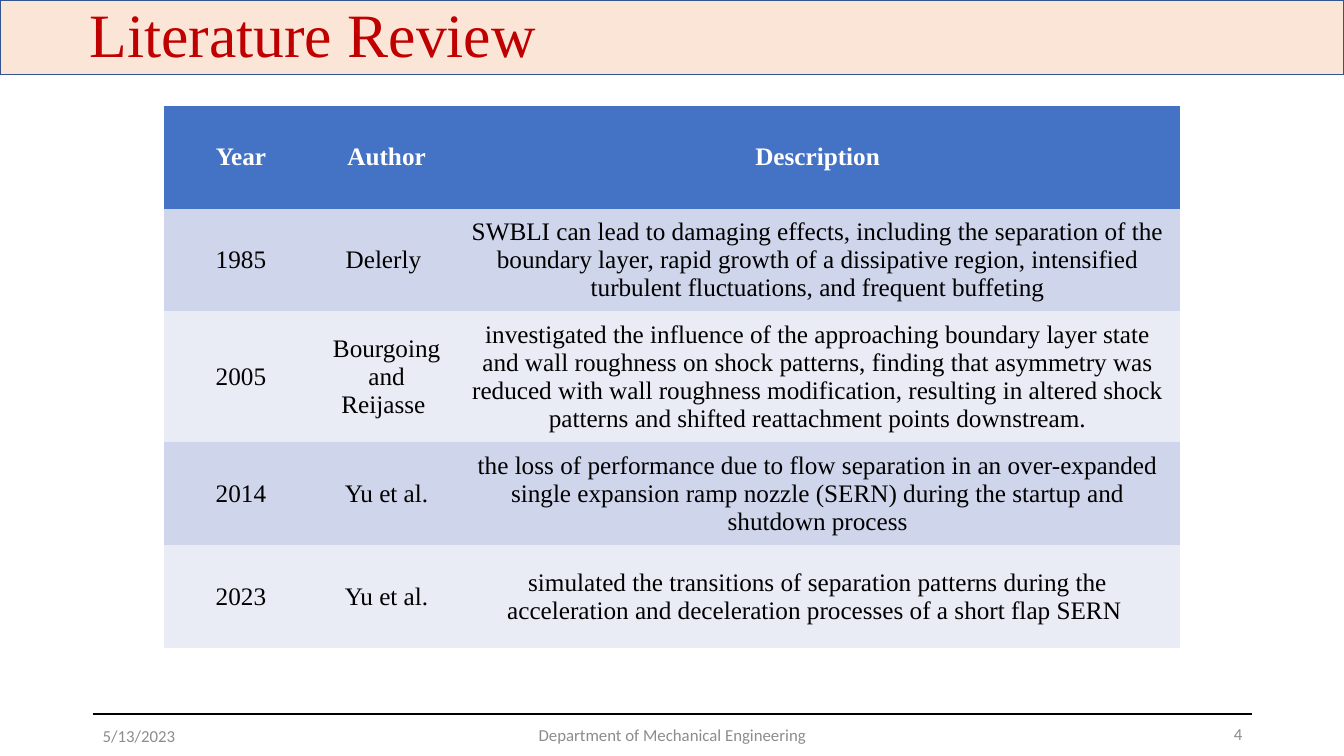
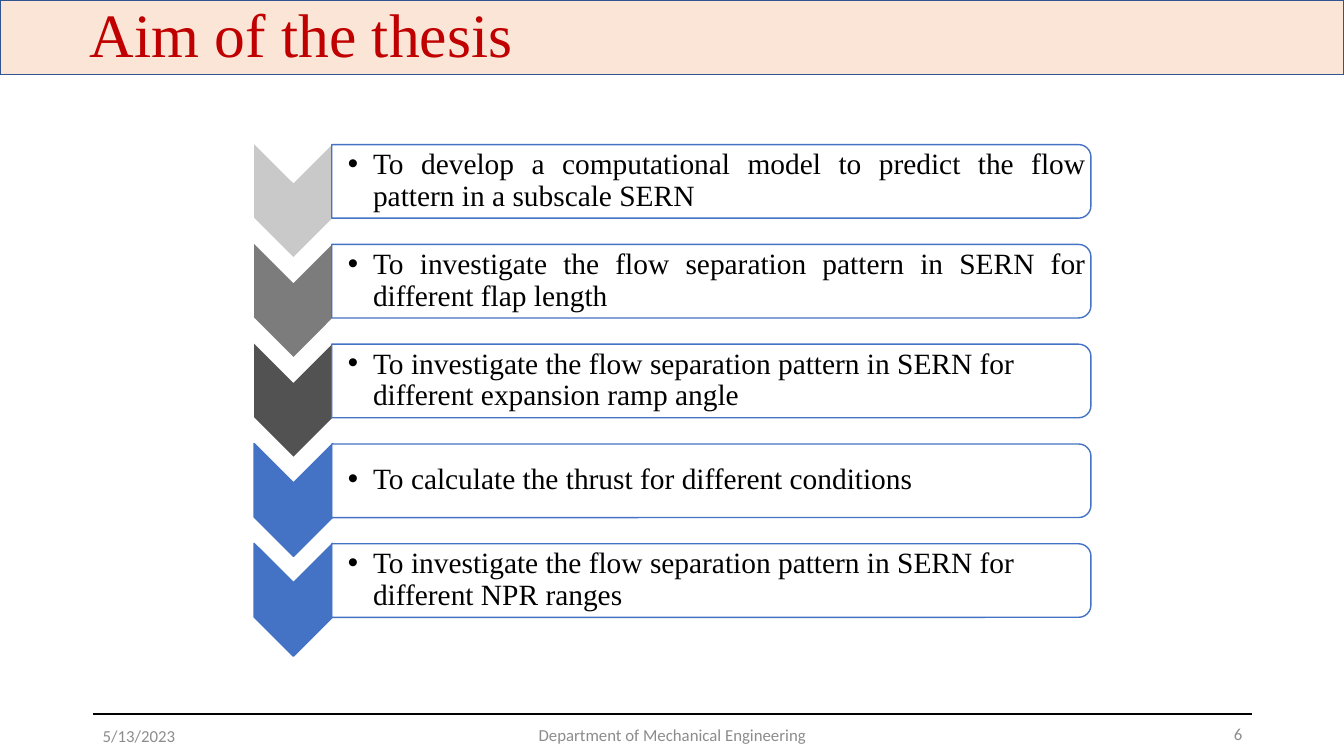
from lxml.etree import SubElement
from pptx import Presentation
from pptx.dml.color import RGBColor
from pptx.enum.shapes import MSO_CONNECTOR, MSO_SHAPE
from pptx.enum.text import MSO_ANCHOR, MSO_AUTO_SIZE, PP_ALIGN
from pptx.oxml.ns import qn
from pptx.util import Inches, Pt

BLACK = RGBColor(0x00, 0x00, 0x00)
WHITE = RGBColor(0xFF, 0xFF, 0xFF)
RED = RGBColor(0xC0, 0x00, 0x00)
BLUE = RGBColor(0x44, 0x72, 0xC4)
NAVY = RGBColor(0x32, 0x54, 0x91)
PEACH = RGBColor(0xFB, 0xE5, 0xD6)
FOOTER_GRAY = RGBColor(0x8C, 0x8C, 0x8C)
ROW_FILLS = [RGBColor(0xCF, 0xD5, 0xEA), RGBColor(0xE9, 0xEB, 0xF5)]
LIGHT_GRAY = RGBColor(0xC9, 0xC9, 0xC9)
MID_GRAY = RGBColor(0x7C, 0x7C, 0x7C)
DARK_GRAY = RGBColor(0x52, 0x52, 0x52)

SERIF = "Times New Roman"
SANS = "Calibri"
NO_TABLE_STYLE = "{2D5ABB26-0587-4C30-8999-92F81FD0307C}"

DATE = "5/13/2023"
DEPARTMENT = "Department of Mechanical Engineering"

STUDIES = [
    ("Year", "Author", "Description"),
    ("1985", "Delerly ",
     "SWBLI can lead to damaging effects, including the separation of the "
     "boundary layer, rapid growth of a dissipative region, intensified "
     "turbulent fluctuations, and frequent buffeting"),
    ("2005", "Bourgoing and Reijasse ",
     "investigated the influence of the approaching boundary layer state and "
     "wall roughness on shock patterns, finding that asymmetry was reduced "
     "with wall roughness modification, resulting in altered shock patterns "
     "and shifted reattachment points downstream."),
    ("2014", "Yu et al.",
     "the loss of performance due to flow separation in an over-expanded "
     "single expansion ramp nozzle (SERN) during the startup and shutdown "
     "process"),
    ("2023", "Yu et al.",
     "simulated the transitions of separation patterns during the "
     "acceleration and deceleration processes of a short flap SERN "),
]
COL_WIDTHS = [1.52, 1.37, 7.18]
ROW_HEIGHTS = [1.02, 1.02, 1.17, 1.02, 1.02]

AIMS = [
    ("To develop a computational model to predict the flow pattern in a "
     "subscale SERN", LIGHT_GRAY, PP_ALIGN.JUSTIFY),
    ("To investigate the flow separation pattern in SERN for different flap "
     "length", MID_GRAY, PP_ALIGN.JUSTIFY),
    ("To investigate the flow separation pattern in SERN for different "
     "expansion ramp angle", DARK_GRAY, PP_ALIGN.LEFT),
    ("To calculate the thrust for different conditions", BLUE, PP_ALIGN.LEFT),
    ("To investigate the flow separation pattern in SERN for different NPR "
     "ranges", BLUE, PP_ALIGN.LEFT),
]


def write(tf, text, size=18, font=SERIF, color=BLACK, bold=False,
          align=PP_ALIGN.LEFT, bullet=False):
    p = tf.paragraphs[0]
    p.alignment = align
    if bullet:
        p.line_spacing = 0.9
        pPr = p._p.get_or_add_pPr()
        pPr.set("marL", str(Inches(0.25)))
        pPr.set("indent", str(-Inches(0.25)))
        SubElement(pPr, qn("a:buFont")).set("typeface", "Arial")
        SubElement(pPr, qn("a:buChar")).set("char", "•")
    r = p.add_run()
    r.text = text
    r.font.size = Pt(size)
    r.font.name = font
    r.font.bold = bold
    r.font.color.rgb = color


def add_text(s, text, left, top, width, height, **style):
    tf = s.shapes.add_textbox(Inches(left), Inches(top), Inches(width),
                              Inches(height)).text_frame
    tf.word_wrap = True
    tf.vertical_anchor = MSO_ANCHOR.MIDDLE
    write(tf, text, **style)
    return tf


def add_shape(s, kind, left, top, width, height, fill, line=None, rotation=0):
    sp = s.shapes.add_shape(kind, Inches(left), Inches(top), Inches(width),
                            Inches(height))
    sp.shadow.inherit = False
    sp.rotation = rotation
    sp.fill.solid()
    sp.fill.fore_color.rgb = fill
    if line is None:
        sp.line.fill.background()
    else:
        sp.line.color.rgb = line
        sp.line.width = Pt(1)
    return sp


def add_turned(s, kind, cx, cy, width, height, fill, line=None):
    """Add a shape turned by 90 degrees, centred, in its turned size."""
    return add_shape(s, kind, cx - height / 2, cy - width / 2, height, width,
                     fill, line, rotation=90)


def dress_layout(layout, s):
    """Draw band and footer rule on s, then move them to its layout."""
    band = add_shape(s, MSO_SHAPE.RECTANGLE, 0, 0, 13.33, 0.74, PEACH, NAVY)
    rule = s.shapes.add_connector(MSO_CONNECTOR.STRAIGHT, Inches(0.92),
                                  Inches(7.08), Inches(12.42), Inches(7.08))
    rule.line.color.rgb = BLACK
    rule.line.width = Pt(1.25)
    SubElement(rule._element.spPr, qn("a:effectLst"))
    for sp in (band, rule):
        layout.shapes._spTree.insert(2, sp._element)

    title = layout.placeholders[0]
    title.left, title.top = Inches(0.79), Inches(-0.09)
    title.width, title.height = Inches(11.5), Inches(0.84)
    title.text_frame.auto_size = MSO_AUTO_SIZE.NONE
    title.text_frame.vertical_anchor = MSO_ANCHOR.TOP


def add_slide(prs, layout, title, number):
    s = prs.slides.add_slide(layout)
    write(s.shapes.title.text_frame, title, size=44, color=RED)
    for text, left, top, width, align in [
            (DATE, 0.92, 7.1, 3, PP_ALIGN.LEFT),
            (DEPARTMENT, 4.42, 7.09, 4.5, PP_ALIGN.CENTER),
            (number, 9.42, 7.08, 3, PP_ALIGN.RIGHT)]:
        add_text(s, text, left, top, width, 0.4, size=12, font=SANS,
                 color=FOOTER_GRAY, align=align)
    return s


def add_studies(s):
    frame = s.shapes.add_table(
        len(STUDIES), len(COL_WIDTHS), Inches(1.63), Inches(1.05),
        Inches(sum(COL_WIDTHS)), Inches(sum(ROW_HEIGHTS)))
    table = frame.table
    table._tbl.tblPr.find(qn("a:tableStyleId")).text = NO_TABLE_STYLE
    for column, width in zip(table.columns, COL_WIDTHS):
        column.width = Inches(width)
    for i, (row, height) in enumerate(zip(table.rows, ROW_HEIGHTS)):
        row.height = Inches(height)
        header = i == 0
        for cell, text in zip(row.cells, STUDIES[i]):
            cell.vertical_anchor = MSO_ANCHOR.MIDDLE
            cell.fill.solid()
            cell.fill.fore_color.rgb = BLUE if header else ROW_FILLS[(i - 1) % 2]
            write(cell.text_frame, text, color=WHITE if header else BLACK,
                  bold=header, align=PP_ALIGN.CENTER)


def add_aims(s):
    left, width, first, pitch = 3.29, 7.53, 1.8, 0.99
    for i, (text, color, align) in enumerate(AIMS):
        cy = first + i * pitch
        add_turned(s, MSO_SHAPE.CHEVRON, 2.91, cy + 0.19, 0.78, 1.12, color,
                   BLUE if color == BLUE else None)
        bar = add_turned(s, MSO_SHAPE.ROUND_2_SAME_RECTANGLE, left + width / 2,
                         cy, width, 0.73, WHITE, BLUE)
        white = bar._element.spPr.find(qn("a:solidFill"))[0]
        SubElement(white, qn("a:alpha")).set("val", "90000")
        tf = add_text(s, text, left, cy - 0.33, 7.49, 0.65, size=21,
                      align=align, bullet=True)
        tf.margin_left = Inches(0.16)
        tf.margin_top = tf.margin_right = tf.margin_bottom = Inches(0.01)


def main():
    prs = Presentation()
    prs.slide_width, prs.slide_height = Inches(13.33), Inches(7.5)
    layout = prs.slide_layouts.get_by_name("Title Only")
    review = add_slide(prs, layout, "Literature Review", "4")
    dress_layout(layout, review)
    add_studies(review)
    add_aims(add_slide(prs, layout, "Aim of the thesis", "6"))
    prs.save("out.pptx")


if __name__ == "__main__":
    main()
